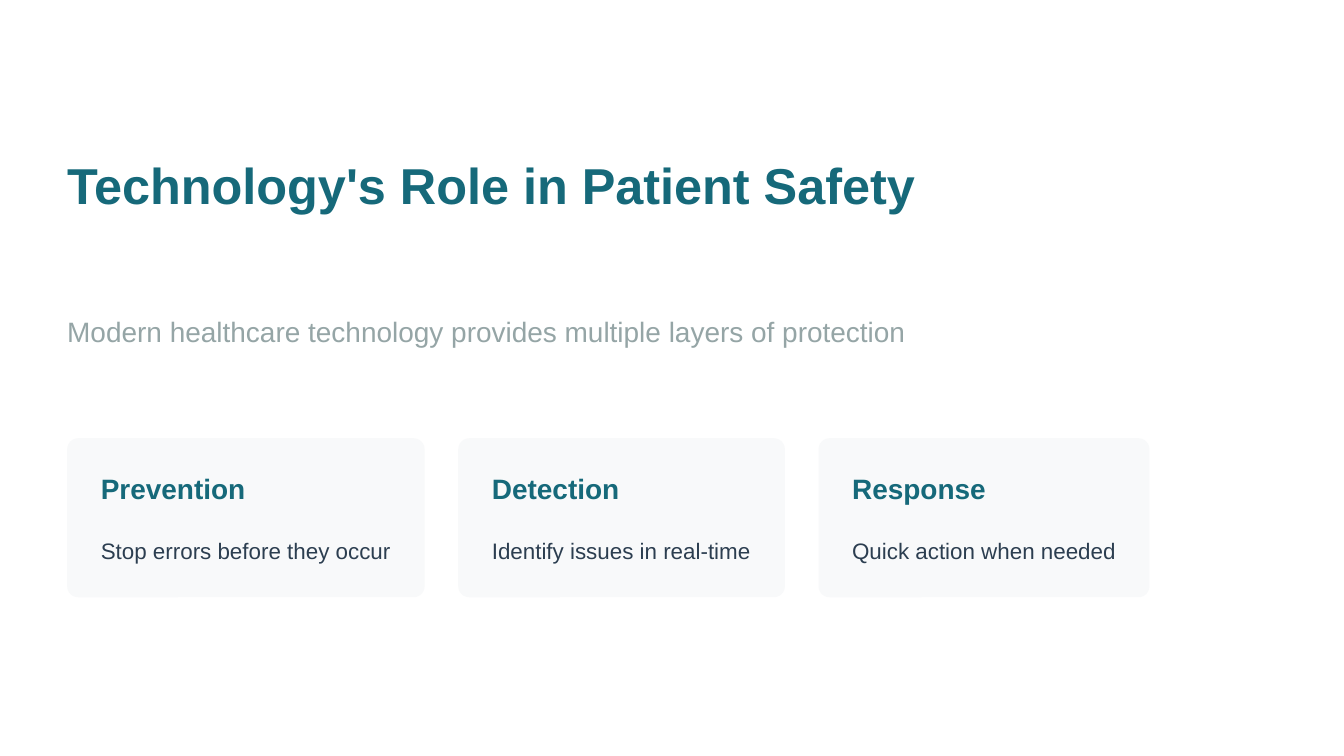
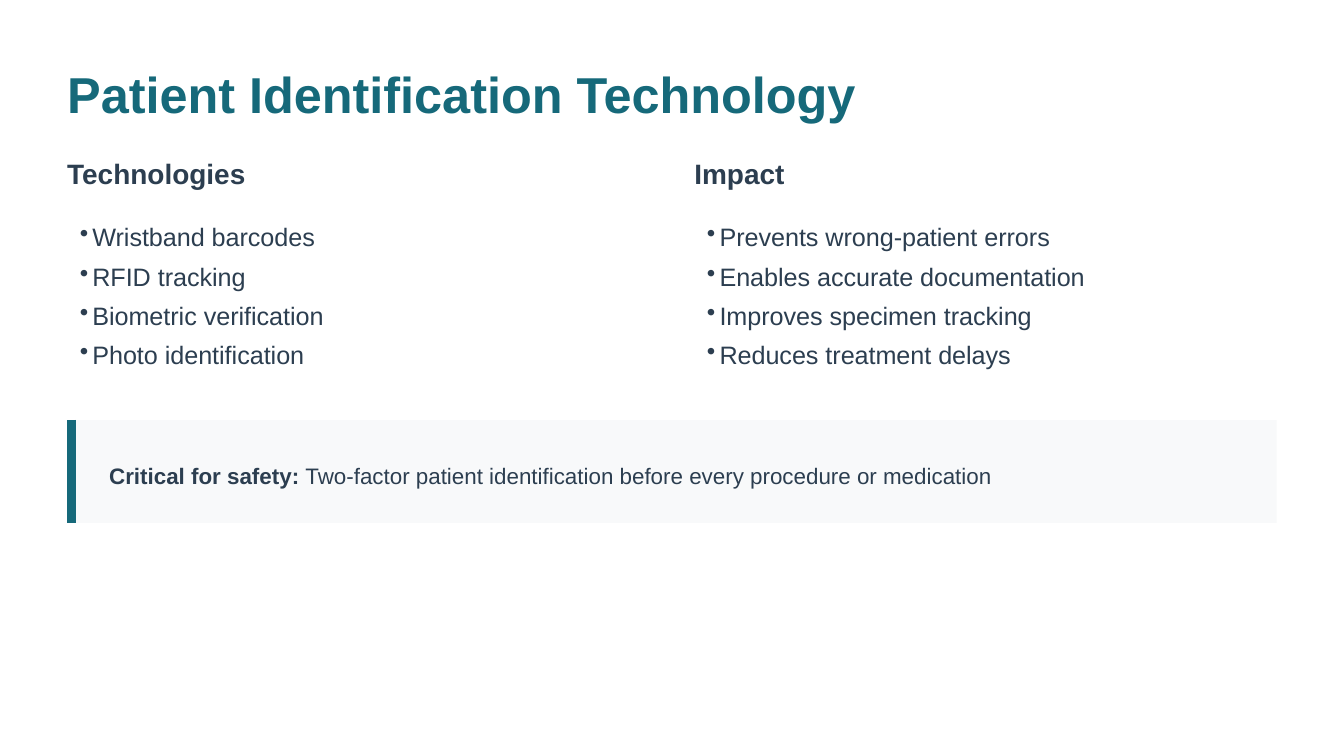
from dataclasses import dataclass

from lxml import etree
from pptx import Presentation
from pptx.dml.color import RGBColor
from pptx.enum import shapes, text
from pptx.oxml.ns import qn
from pptx.util import Pt


@dataclass(frozen=True)
class Style:
    size: float
    leading: float
    color: str
    bold: bool = False


@dataclass(frozen=True)
class Theme:
    font: str = "Arial"
    page: str = "FFFFFF"
    panel: str = "F8F9FA"
    accent: str = "16697A"
    title: Style = Style(27, 30, "16697A", True)
    subtitle: Style = Style(15, 24, "95A5A6")
    card_heading: Style = Style(15, 18, "16697A", True)
    column_heading: Style = Style(15, 18, "2C3E50", True)
    bullet: Style = Style(13.5, 21, "2C3E50")
    body: Style = Style(12, 19.2, "2C3E50")


THEME = Theme()
WIDTH, HEIGHT = 720, 405
MARGIN = 36
CONTENT = WIDTH - 2 * MARGIN
PAD = 18           # inside cards and callout, and between cards
HEADING_GAP = 12   # below a heading
COLUMN_GAP = 24
SLACK = 1.02       # text boxes are slightly wider than their content
BULLET_INDENT = 6.75
BAR = 4.5
PANEL_HEIGHT = 2 * PAD + THEME.body.leading
CARD_HEIGHT = PANEL_HEIGHT + THEME.card_heading.leading + HEADING_GAP


def format_span(span, style, bold):
    span.font.name = THEME.font
    span.font.size = Pt(style.size)
    span.font.bold = bold
    span.font.color.rgb = RGBColor.from_string(style.color)


def add_text(page, left, top, width, style, *lines, inset=0, height=None):
    """Place one paragraph per line and return the paragraphs."""
    height = height or style.leading * len(lines)
    box = page.shapes.add_textbox(Pt(left), Pt(top), Pt(width), Pt(height))
    frame = box.text_frame
    frame.text = "\n".join(lines)
    frame.word_wrap = True
    frame.vertical_anchor = text.MSO_ANCHOR.TOP
    frame.margin_left = Pt(inset)
    frame.margin_top = frame.margin_right = frame.margin_bottom = 0
    for para in frame.paragraphs:
        para.line_spacing = Pt(style.leading)
        for span in para.runs:
            format_span(span, style, style.bold)
    return frame.paragraphs


def add_panel(page, kind, left, top, width, height):
    panel = page.shapes.add_shape(kind, Pt(left), Pt(top), Pt(width), Pt(height))
    panel.shadow.inherit = False
    panel.fill.solid()
    panel.fill.fore_color.rgb = RGBColor.from_string(THEME.panel)
    panel.line.fill.background()
    return panel


def add_page(deck, title, top, title_width):
    page = deck.slides.add_slide(deck.slide_layouts[6])
    page.background.fill.solid()
    page.background.fill.fore_color.rgb = RGBColor.from_string(THEME.page)
    add_text(page, MARGIN, top, title_width, THEME.title, title)
    return page


def add_card(page, left, top, width, heading, body):
    card = add_panel(page, shapes.MSO_SHAPE.ROUNDED_RECTANGLE,
                     left, top, width, CARD_HEIGHT)
    card.adjustments[0] = 0.07
    inner = (width - 2 * PAD) * SLACK
    heading_top = top + PAD
    body_top = heading_top + THEME.card_heading.leading + HEADING_GAP
    add_text(page, left + PAD, heading_top, inner, THEME.card_heading, heading)
    add_text(page, left + PAD, body_top, inner, THEME.body, body)


def add_bullet_column(page, left, top, width, heading, items):
    add_text(page, left, top, width * SLACK, THEME.column_heading, heading)
    list_top = top + THEME.column_heading.leading + HEADING_GAP
    paras = add_text(page, left, list_top, width, THEME.bullet, *items,
                     inset=BULLET_INDENT, height=93)
    for para in paras:
        props = para._p.get_or_add_pPr()
        props.set("marL", str(Pt(BULLET_INDENT)))
        props.set("indent", str(-Pt(BULLET_INDENT)))
        etree.SubElement(props, qn("a:buChar")).set("char", "•")


def add_callout(page, left, top, width, label, message):
    add_panel(page, shapes.MSO_SHAPE.RECTANGLE, left, top, width, PANEL_HEIGHT)
    # Accent bar along the left edge
    middle = Pt(left + BAR / 2)
    bar = page.shapes.add_connector(shapes.MSO_CONNECTOR.STRAIGHT, middle, Pt(top),
                                    middle, Pt(top + PANEL_HEIGHT))
    bar.line.width = Pt(BAR)
    bar.line.color.rgb = RGBColor.from_string(THEME.accent)
    etree.SubElement(bar._element.spPr, qn("a:effectLst"))
    # Bold label, then the message
    inner = (width - BAR - 2 * PAD) * SLACK
    para = add_text(page, left + BAR + PAD, top + PAD, inner, THEME.body, label)[0]
    para.runs[0].font.bold = True
    span = para.add_run()
    span.text = " " + message
    format_span(span, THEME.body, False)


def build_overview(deck):
    page = add_page(deck, "Technology's Role in Patient Safety", 85, 463.7)
    add_text(page, MARGIN, 162.6, CONTENT * SLACK, THEME.subtitle,
             "Modern healthcare technology provides multiple layers of protection")
    # Cards follow one another, each as wide as its text needs
    left = MARGIN
    for width, heading, body in (
        (191.5, "Prevention", "Stop errors before they occur"),
        (175, "Detection", "Identify issues in real-time"),
        (177.3, "Response", "Quick action when needed"),
    ):
        add_card(page, left, 234.8, width, heading, body)
        left += width + PAD


def build_identification(deck):
    page = add_page(deck, "Patient Identification Technology", MARGIN, 431.3)
    # Two equal columns
    top = MARGIN + THEME.title.leading + PAD
    width = (CONTENT - COLUMN_GAP) / 2
    columns = (
        ("Technologies", ("Wristband barcodes", "RFID tracking",
                          "Biometric verification", "Photo identification")),
        ("Impact", ("Prevents wrong-patient errors", "Enables accurate documentation",
                    "Improves specimen tracking", "Reduces treatment delays")),
    )
    for index, (heading, items) in enumerate(columns):
        left = MARGIN + index * (width + COLUMN_GAP)
        add_bullet_column(page, left, top, width, heading, items)
    add_callout(page, MARGIN, 225, CONTENT, "Critical for safety:",
                "Two-factor patient identification before every procedure or medication")


def main():
    deck = Presentation()
    deck.slide_width, deck.slide_height = Pt(WIDTH), Pt(HEIGHT)
    build_overview(deck)
    build_identification(deck)
    deck.save("out.pptx")


if __name__ == "__main__":
    main()
